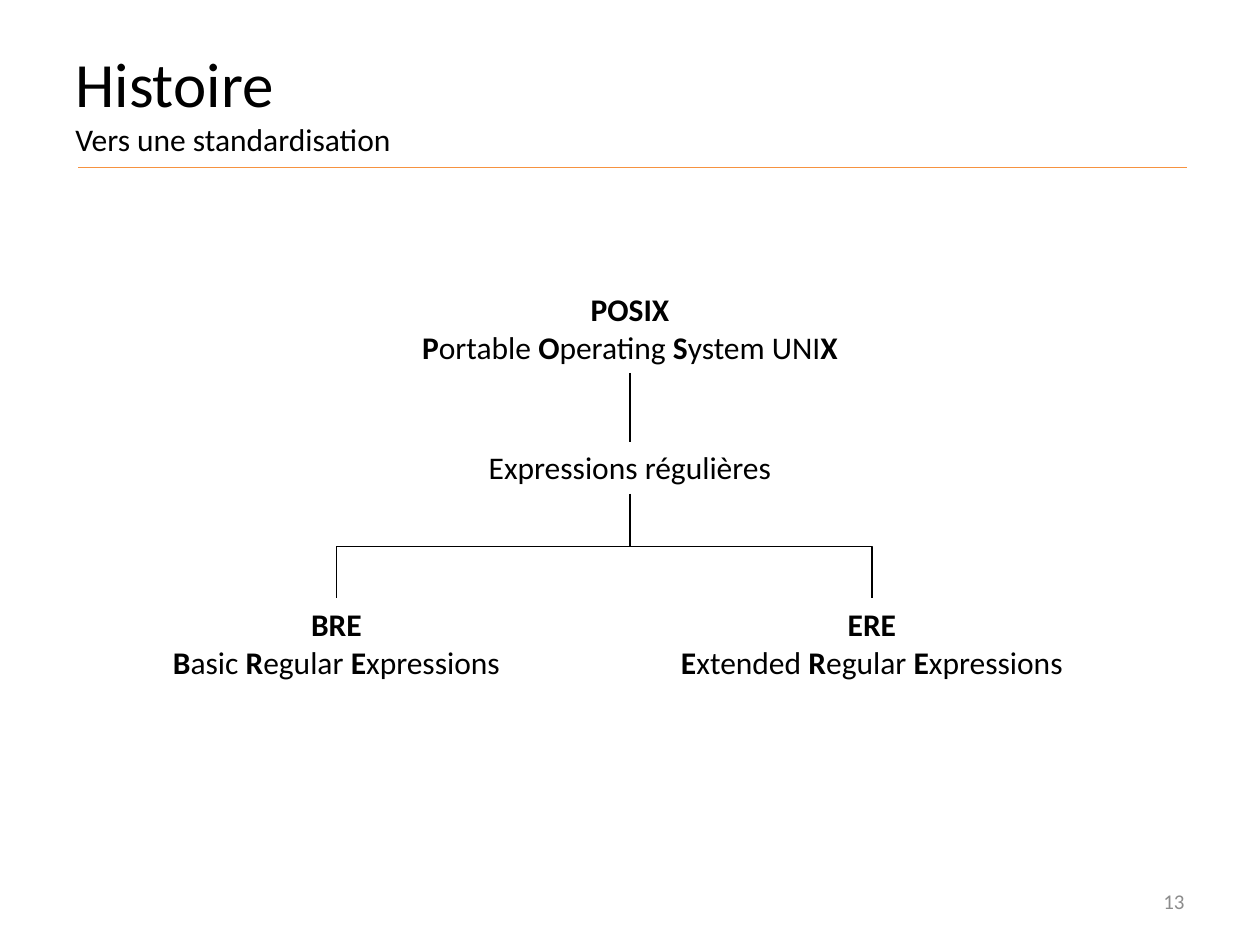
from pptx import Presentation
from pptx.dml.color import RGBColor as Rgb
from pptx.enum.shapes import MSO_CONNECTOR as Link
from pptx.enum.text import MSO_ANCHOR as Anchor, PP_ALIGN as Align
from pptx.oxml.ns import qn
from pptx.util import Inches, Pt
from lxml import etree

INK = {"text": "000000", "rule": "F69240", "page": "8C8C8C"}


def write(para, text, size=18, color="text", align=Align.CENTER):
    """Fill a paragraph, with bold for the parts between asterisks."""
    para.alignment = align
    for i, part in enumerate(text.split("*")):
        if part:
            run = para.add_run()
            run.text = part
            font = run.font
            font.name = "Calibri"
            font.size = Pt(size)
            font.bold = i % 2 == 1
            font.color.rgb = Rgb.from_string(INK[color])


class Deck:
    """Style and current slide."""

    def __init__(self):
        self.show = Presentation()
        self.show.slide_width = Inches(10)
        self.show.slide_height = Inches(7.5)
        self.slide = self.show.slides.add_slide(self.show.slide_layouts[6])

    def text(self, box, lines, sizes=(18, 18), anchor=Anchor.TOP, **style):
        """Add a text box with one paragraph per line."""
        frame = self.slide.shapes.add_textbox(*map(Inches, box)).text_frame
        frame.word_wrap = True
        frame.vertical_anchor = anchor
        for i, (line, size) in enumerate(zip(lines, sizes)):
            para = frame.add_paragraph() if i else frame.paragraphs[0]
            write(para, line, size=size, **style)

    def line(self, start, end, color="text", kind=Link.STRAIGHT):
        """Add a thin connector."""
        link = self.slide.shapes.add_connector(kind, *map(Inches, start + end))
        link.line.width = Pt(0.75)
        link.line.color.rgb = Rgb.from_string(INK[color])
        etree.SubElement(link._element.spPr, qn("a:effectLst"))
        return link

    def branch(self, start, end):
        """Add an elbow that leaves downwards and turns to either side."""
        (x1, y1), (x2, y2) = start, end
        mid_x, mid_y = (x1 + x2) / 2, (y1 + y2) / 2
        drop, span = (y2 - y1) / 2, abs(x2 - x1) / 2
        side = 1 if x2 < x1 else -1
        link = self.line((mid_x - side * drop, mid_y - span),
                         (mid_x + side * drop, mid_y + span), kind=Link.ELBOW)
        turn = 90 if side == 1 else 270
        link._element.spPr.find(qn("a:xfrm")).set("rot", str(turn * 60000))


def main():
    """Build the slide."""
    deck = Deck()
    deck.text((0.5, 0.3, 9, 1.25), ["Histoire", "Vers une standardisation"],
              sizes=(36, 18), align=Align.LEFT)
    deck.line((0.62, 1.33), (9.42, 1.33), color="rule")
    nodes = [
        (5, 2.25, ["*POSIX*", "*P*ortable *O*perating *S*ystem UNI*X*"]),
        (5, 3.51, ["Expressions régulières"]),
        (2.67, 4.75, ["*BRE*", "*B*asic *R*egular *E*xpressions"]),
        (6.92, 4.75, ["*ERE*", "*E*xtended *R*egular *E*xpressions"]),
    ]
    for mid, top, lines in nodes:
        deck.text((mid - 2.5, top, 5, 0.4 if len(lines) == 1 else 0.71), lines)
    deck.line((5, 2.96), (5, 3.51))
    for mid, top, _ in nodes[2:]:
        deck.branch((5, 3.92), (mid, top))
    deck.text((7.17, 6.95, 2.33, 0.4), ["13"], sizes=(12,),
              anchor=Anchor.MIDDLE, color="page", align=Align.RIGHT)
    deck.show.save("out.pptx")


if __name__ == "__main__":
    main()
